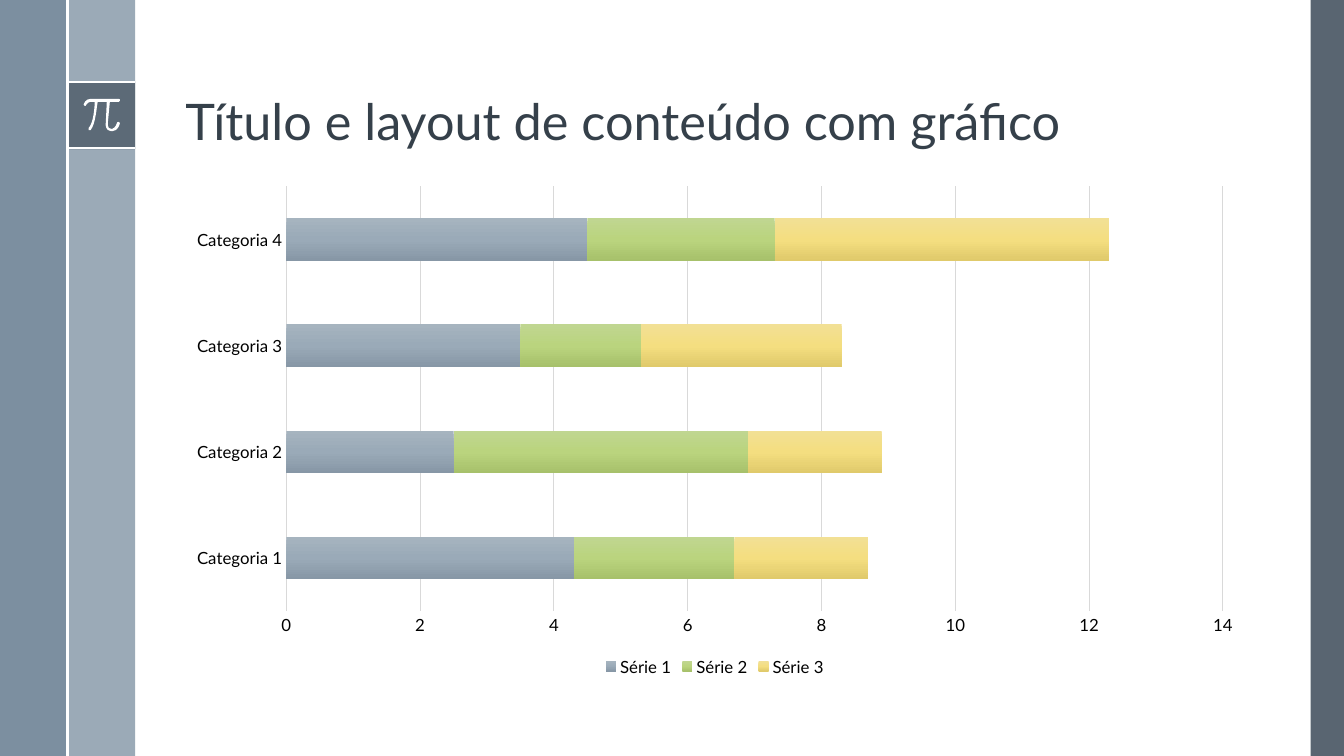
from copy import deepcopy

from lxml import etree
from pptx import Presentation
from pptx.chart.data import CategoryChartData
from pptx.dml.color import RGBColor
from pptx.enum.chart import XL_CHART_TYPE, XL_LEGEND_POSITION, XL_TICK_MARK
from pptx.enum.shapes import MSO_CONNECTOR, MSO_SHAPE
from pptx.enum.text import MSO_ANCHOR
from pptx.oxml.ns import qn
from pptx.util import Inches, Pt

STACKED_BARS = XL_CHART_TYPE.BAR_STACKED
LEGEND_BOTTOM = XL_LEGEND_POSITION.BOTTOM
NO_TICKS = XL_TICK_MARK.NONE
STRAIGHT = MSO_CONNECTOR.STRAIGHT
RECTANGLE = MSO_SHAPE.RECTANGLE
ANCHOR_BOTTOM = MSO_ANCHOR.BOTTOM

FONT = "Lato"
WHITE, BLACK, GRID = "FFFFFF", "000000", "D9D9D9"
SLIDE_WIDTH, SLIDE_HEIGHT = 13.33, 7.5
BAND_WIDTH = 0.67

CATEGORIES = ["Categoria 1", "Categoria 2", "Categoria 3", "Categoria 4"]
SERIES = [
    ("Série 1", (4.3, 2.5, 3.5, 4.5), ("A6B4BF", "9AAAB8", "8797A6")),
    ("Série 2", (2.4, 4.4, 1.8, 2.8), ("C0D691", "BAD47E", "A7C16B")),
    ("Série 3", (2, 2, 3, 5), ("F2E095", "F4DE80", "E0CA6B")),
]

# Outline of the pi sign in hundredths of an inch: two numbers are a line to
# a point, six are a Bézier curve (two control points and an end point).
PI_START = (35, 0)
PI_OUTLINE = [
    (7, 0), (2, 0, 0, 5, 0, 6), (0, 6, 0, 7, 1, 7), (2, 7),
    (2, 7, 4, 3, 7, 3), (11, 3), (11, 7, 10, 24, 5, 29),
    (4, 30, 4, 30, 5, 31), (5, 31, 6, 31, 6, 31), (7, 31),
    (12, 25, 13, 7, 14, 3), (23, 3), (22, 24), (22, 24, 21, 28, 24, 31),
    (25, 32, 26, 32, 27, 32), (28, 32, 28, 32, 29, 32),
    (34, 32, 36, 25, 36, 24), (36, 24, 35, 23, 35, 23),
    (34, 23, 33, 23, 33, 24), (33, 24, 32, 29, 28, 30),
    (27, 30, 26, 30, 25, 29), (24, 28, 24, 25, 24, 24), (26, 3), (35, 3),
    (36, 3, 36, 2, 36, 2), (36, 1, 36, 0, 35, 0),
]


def color(hex_string):
    return RGBColor.from_string(hex_string)


def format_font(font, size, hex_string):
    font.name, font.size, font.bold = FONT, Pt(size), False
    font.color.rgb = color(hex_string)


def add_text(slide, text, left, top, width, height, *, size, hex_string,
             anchor, line_spacing):
    box = slide.shapes.add_textbox(
        Inches(left), Inches(top), Inches(width), Inches(height))
    frame = box.text_frame
    frame.word_wrap = True
    frame.vertical_anchor = anchor
    paragraph = frame.paragraphs[0]
    paragraph.line_spacing = line_spacing
    run = paragraph.add_run()
    run.text = text
    format_font(run.font, size, hex_string)


def paint(shape, hex_string, opacity=100):
    """Give a shape a plain fill with no line or shadow."""
    shape.shadow.inherit = False
    shape.line.fill.background()
    shape.fill.solid()
    shape.fill.fore_color.rgb = color(hex_string)
    if opacity < 100:
        fill_color = shape._element.spPr.find(qn("a:solidFill"))[0]
        etree.SubElement(fill_color, qn("a:alpha"), val=str(opacity * 1000))


def add_band(slide, left, top, width, height, hex_string, opacity=100):
    band = slide.shapes.add_shape(
        RECTANGLE, Inches(left), Inches(top), Inches(width), Inches(height))
    paint(band, hex_string, opacity)


def add_rule(slide, left, top, right, bottom):
    rule = slide.shapes.add_connector(
        STRAIGHT, Inches(left), Inches(top), Inches(right), Inches(bottom))
    rule.line.color.rgb = color(WHITE)
    rule.line.width = Pt(1.5)
    etree.SubElement(rule._element.spPr, qn("a:effectLst"))


def add_pi_sign(slide, left, top):
    """Draw straight segments, then bend those that have control points."""
    builder = slide.shapes.build_freeform(*PI_START, scale=Inches(0.01))
    builder.add_line_segments([segment[-2:] for segment in PI_OUTLINE])
    sign = builder.convert_to_shape(Inches(left), Inches(top))
    paint(sign, WHITE)
    lines = list(sign._element.iter(qn("a:lnTo")))
    for line, segment in zip(lines, PI_OUTLINE):
        if len(segment) == 6:
            line.tag = qn("a:cubicBezTo")
            controls = (segment[:2], segment[2:4])
            for index, (x, y) in enumerate(controls):
                point = etree.Element(qn("a:pt"), x=str(x), y=str(y))
                line.insert(index, point)


def add_side_bands(slide, width, height):
    badge_left, badge_top = BAND_WIDTH, 0.81
    badge_right = badge_left + BAND_WIDTH
    add_band(slide, width - 0.33, 0, 0.33, height, "475562", 90)
    add_band(slide, badge_left, 0, BAND_WIDTH, height, "9BAAB7")
    add_band(slide, 0, 0, BAND_WIDTH, height, "6A8093", 88)
    add_band(slide, badge_left, badge_top, BAND_WIDTH, BAND_WIDTH, "475562", 75)
    for y in (badge_top, badge_top + 0.66):
        add_rule(slide, badge_left, y, badge_right, y)
    add_pi_sign(slide, badge_left + 0.16, badge_top + 0.17)
    add_rule(slide, badge_left, 0, badge_left, height)


def fill_gradient(series, hex_strings):
    """Fill a series from top to bottom with three evenly spaced colours."""
    fill = series.format.fill
    fill.gradient()
    fill.gradient_angle = 270
    stop_list = next(series._element.iter(qn("a:gsLst")))
    stop_list.append(deepcopy(stop_list[-1]))
    for index, (stop, hex_string) in enumerate(
            zip(fill.gradient_stops, hex_strings)):
        stop.position = index / 2
        stop.color.rgb = color(hex_string)


def format_line(line, hex_string):
    line.color.rgb = color(hex_string)
    line.width = Pt(0.75)


def add_stacked_chart(slide, left, top, width, height):
    data = CategoryChartData()
    data.categories = CATEGORIES
    for name, values, _ in SERIES:
        data.add_series(name, values)
    chart = slide.shapes.add_chart(
        STACKED_BARS, Inches(left), Inches(top), Inches(width),
        Inches(height), data).chart
    format_font(chart.font, 10, "465562")
    chart.has_title = False
    chart.has_legend = True
    chart.legend.position = LEGEND_BOTTOM
    chart.legend.include_in_layout = False
    format_font(chart.legend.font, 12, BLACK)

    plot = chart.plots[0]
    plot.gap_width, plot.overlap = 150, 100
    plot.vary_by_categories = False
    for series, (_, _, hex_strings) in zip(plot.series, SERIES):
        fill_gradient(series, hex_strings)

    for axis in (chart.category_axis, chart.value_axis):
        axis.major_tick_mark = axis.minor_tick_mark = NO_TICKS
        format_font(axis.tick_labels.font, 12, BLACK)
    format_line(chart.category_axis.format.line, GRID)
    chart.value_axis.format.line.fill.background()
    chart.value_axis.has_major_gridlines = True
    format_line(chart.value_axis.major_gridlines.format.line, GRID)


def main():
    presentation = Presentation()
    presentation.slide_width = Inches(SLIDE_WIDTH)
    presentation.slide_height = Inches(SLIDE_HEIGHT)
    slide = presentation.slides.add_slide(presentation.slide_layouts[6])
    add_side_bands(slide, SLIDE_WIDTH, SLIDE_HEIGHT)
    add_text(slide, "Título e layout de conteúdo com gráfico",
             1.74, 0.19, 10.7, 1.36, size=36, hex_string="35404A",
             anchor=ANCHOR_BOTTOM, line_spacing=0.9)
    add_stacked_chart(slide, 1.74, 1.75, 10.7, 5)
    presentation.save("out.pptx")


if __name__ == "__main__":
    main()
